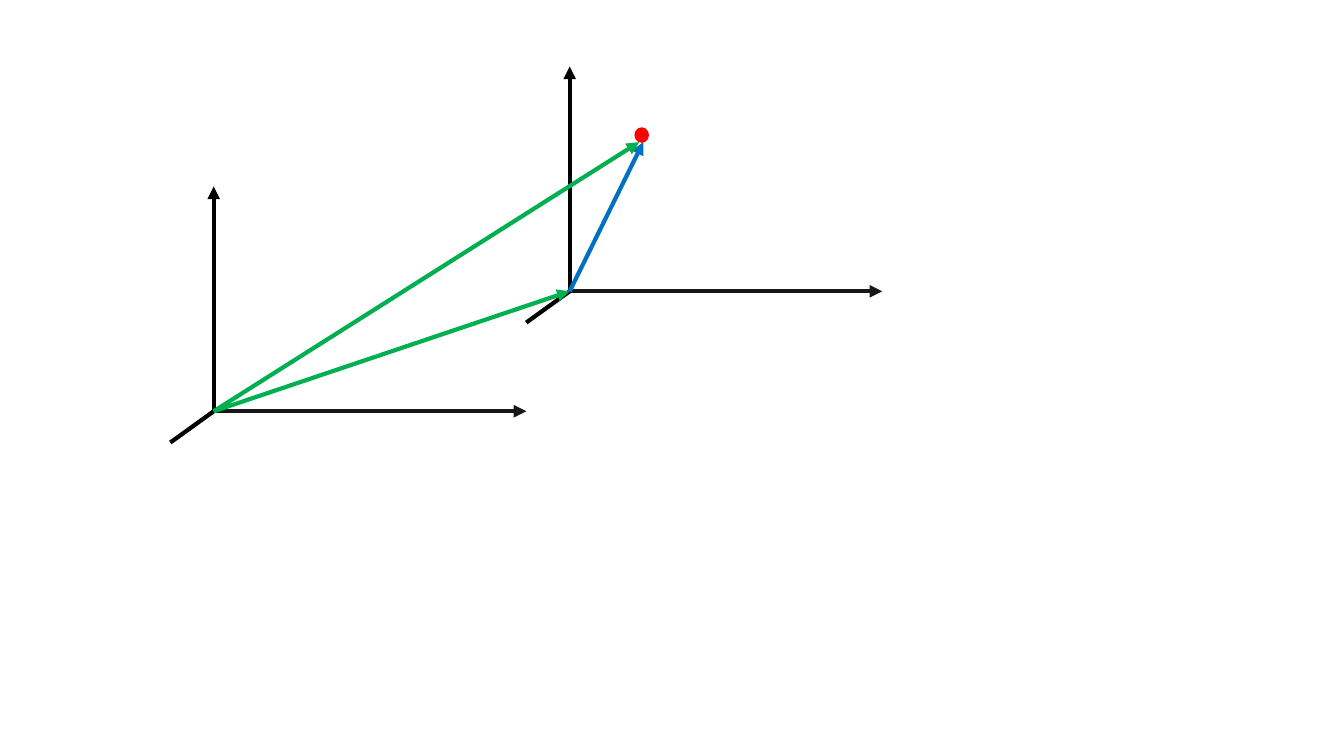
from lxml import etree
from pptx import Presentation
from pptx.dml.color import RGBColor
from pptx.enum import shapes
from pptx.oxml.ns import qn
from pptx.util import Inches, Pt

BLACK = RGBColor(0x00, 0x00, 0x00)
CHARCOAL = RGBColor(0x18, 0x17, 0x17)
GREEN = RGBColor(0x00, 0xB0, 0x50)
BLUE = RGBColor(0x00, 0x70, 0xC0)
RED = RGBColor(0xFF, 0x00, 0x00)

FIXED_ORIGIN = (2.12, 4.08)
MOVING_ORIGIN = (5.65, 2.89)


def add_line(page, start, end, color, arrow=True):
    points = [Inches(value) for value in (*start, *end)]
    line = page.shapes.add_connector(shapes.MSO_CONNECTOR.STRAIGHT, *points)
    line.line.color.rgb = color
    line.line.width = Pt(3)
    if arrow:
        outline = line.line._get_or_add_ln()
        etree.SubElement(outline, qn("a:tailEnd"), type="triangle")
    etree.SubElement(line._element.spPr, qn("a:effectLst"))


def add_axes(page, origin):
    """Draw a horizontal, a vertical and a short slanted axis from the origin."""
    x, y = origin
    add_line(page, origin, (x + 3.1, y), CHARCOAL)
    add_line(page, origin, (x, y - 2.23), BLACK)
    add_line(page, origin, (x - 0.43, y + 0.31), BLACK, arrow=False)


def add_dot(page, left, top, width, height, color):
    box = [Inches(value) for value in (left, top, width, height)]
    dot = page.shapes.add_shape(shapes.MSO_SHAPE.OVAL, *box)
    dot.shadow.inherit = False
    dot.fill.solid()
    dot.fill.fore_color.rgb = color
    dot.line.color.rgb = color
    dot.line.width = Pt(1)


def main():
    deck = Presentation()
    deck.slide_width = Inches(13.33)
    deck.slide_height = Inches(7.5)
    page = deck.slides.add_slide(deck.slide_layouts[6])

    for origin in (MOVING_ORIGIN, FIXED_ORIGIN):
        add_axes(page, origin)

    add_line(page, FIXED_ORIGIN, MOVING_ORIGIN, GREEN)
    add_line(page, MOVING_ORIGIN, (6.38, 1.41), BLUE)
    add_line(page, FIXED_ORIGIN, (6.34, 1.41), GREEN)
    add_dot(page, 6.3, 1.27, 0.13, 0.14, RED)

    deck.save("out.pptx")


if __name__ == "__main__":
    main()
